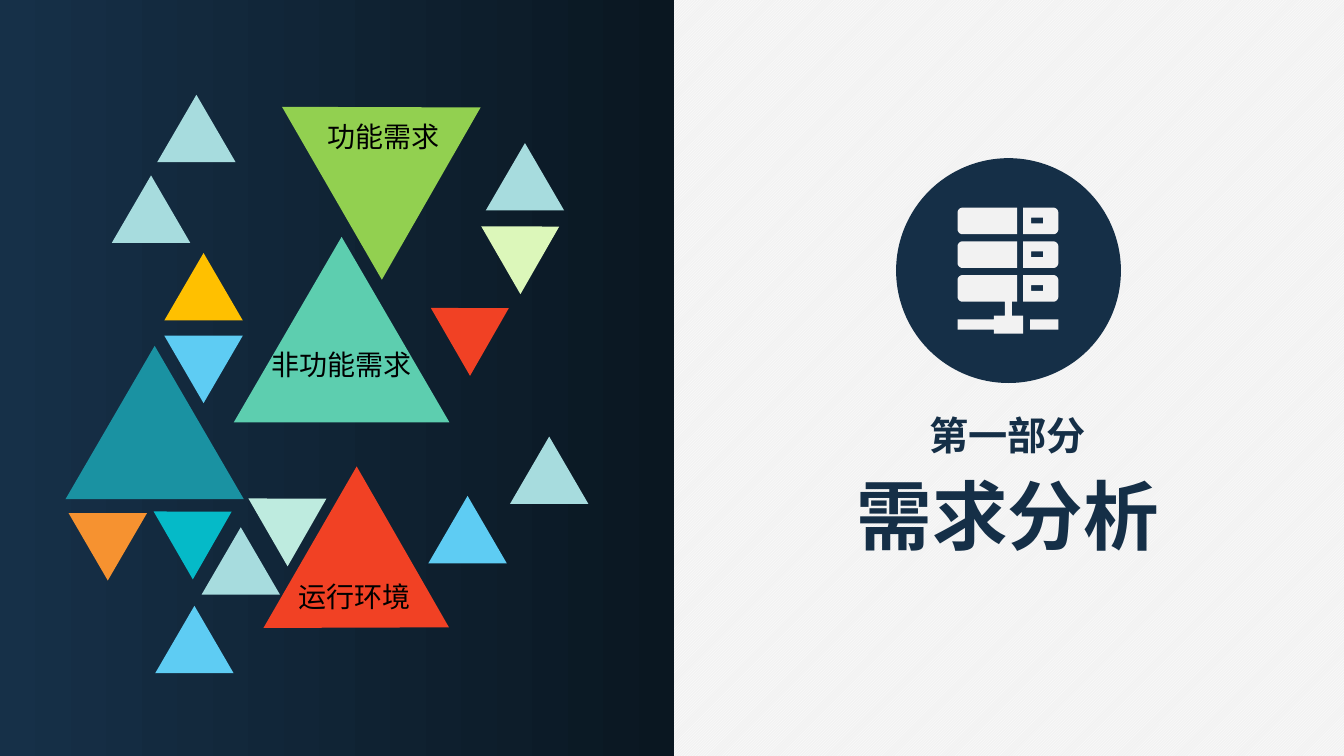
import math
from lxml import etree
from pptx import Presentation
from pptx import util as u
from pptx.dml.color import RGBColor
from pptx.enum import dml, shapes, text
from pptx.oxml.ns import qn

Pt = u.Pt
FONT = "Noto Sans CJK SC"
COLORS = {
    "navy": "152F47", "panel_start": "163048", "panel_end": "0A1721",
    "white": "FFFFFF", "paper": "F2F2F2", "black": "000000",
    "mist": "A7DCDE", "mint": "BEEBDF", "jade": "5DCEAF", "teal": "1A92A2",
    "sky": "5ECCF3", "green": "92D050", "lime": "DCF7BA", "cyan": "05BAC8",
    "orange": "F69230", "amber": "FFC000", "red": "F14124",
}
TITLE = ("需求分析", (604.8, 331.2, 230.4, 72.7), 54, "navy", True)
PART = ("第一部分", (655.9, 290.2, 127.4, 41), 28, "navy", True)
LABELS = [
    ("非功能需求", (186.5, 244.4, 114.5, 31.7), 20, "black", False),
    ("功能需求", (226.8, 81.7, 94.3, 31.7), 20, "black", False),
    ("运行环境", (205.9, 410.4, 94.3, 31.7), 20, "black", False),
]
SMALL = 56
RATIO = 0.86
TRIANGLES = [
    (79.9, 125.3, SMALL, 0, "mist"),
    (347, 102.2, SMALL, 0, "mist"),
    (184.3, 344.2, SMALL, 60, "mint"),
    (167, 169.2, 154.1, 0, "jade"),
    (46.8, 247, 127.4, 0, "teal"),
    (144, 376.6, SMALL, 0, "mist"),
    (110.9, 432.7, SMALL, 0, "sky"),
    (112.3, 67.7, SMALL, 0, "mist"),
    (218.9, 46.1, 142.6, 60, "green"),
    (350.6, 149.8, SMALL, 60, "lime"),
    (116.6, 353.5, SMALL, 60, "cyan"),
    (49, 366.5, SMALL, 180, "orange"),
    (117.4, 180.7, SMALL, 0, "amber"),
    (117.4, 239.8, SMALL, 180, "sky"),
    (314.6, 208.1, SMALL, 60, "red"),
    (204.5, 362.2, 133.2, 120, "red"),
    (364.3, 311.8, SMALL, 0, "mist"),
    (306, 354.2, SMALL, 0, "sky"),
]
DISC = (640.1, 113, 160.6, 160.6)
ICON_LEFT, ICON_RIGHT, ICON_TOP = 684, 756, 148.3
ROWS, ROW_STEP, ROW_HEIGHT, RADIUS = 3, 24.1, 19, 3.6
BODY_END, CAP_START = 726.5, 730.8
SLOT = (736.6, 7.2, 8.6, 4.1)
CABLE = [
    (717.8, 215.5), (722.9, 215.5), (722.9, 225.4), (730.8, 225.4),
    (730.8, 238.3), (709.9, 238.3), (709.9, 235.4), (684, 235.4),
    (684, 228.2), (709.9, 228.2), (709.9, 225.4), (717.8, 225.4),
]
CABLE_END = (735.8, 228.2, 20.2, 7.2)


def rgb(name):
    return RGBColor.from_string(COLORS[name])


def apply(target, values):
    for name, value in values.items():
        setattr(target, name, value)


def place(sp, box):
    apply(sp, dict(zip(("left", "top", "width", "height"), map(Pt, box))))


def paint(sp, color):
    sp.shadow.inherit = False
    sp.line.fill.background()
    sp.fill.solid()
    sp.fill.fore_color.rgb = rgb(color)


def add_shape(parent, kind, box, color):
    sp = parent.add_shape(kind, *map(Pt, box))
    paint(sp, color)
    return sp


def write(sp, content, box, size, color, bold):
    place(sp, box)
    tf = sp.text_frame
    apply(tf, {"word_wrap": False, "auto_size": text.MSO_AUTO_SIZE.NONE,
               "vertical_anchor": text.MSO_ANCHOR.MIDDLE,
               "margin_left": 0, "margin_right": 0})
    p = tf.paragraphs[0]
    apply(p, {"alignment": text.PP_ALIGN.CENTER, "space_before": Pt(0)})
    r = p.add_run()
    r.text = content
    r.font.color.rgb = rgb(color)
    apply(r.font, {"name": FONT, "size": Pt(size), "bold": bold})
    etree.SubElement(r.font._element, qn("a:ea"), typeface=FONT)


def rect(x, y, w, h):
    return [(x, y), (x + w, y), (x + w, y + h), (x, y + h)]


def rounded_end(flat, end, top):
    sign = 1 if end > flat else -1
    center = end - sign * RADIUS
    angles = [math.radians(a) for a in range(0, 91, 15)]
    upper = [(center + sign * RADIUS * math.sin(a),
              top + RADIUS * (1 - math.cos(a))) for a in angles]
    lower = [(x, 2 * top + ROW_HEIGHT - y) for x, y in reversed(upper)]
    return [(flat, top)] + upper + lower + [(flat, top + ROW_HEIGHT)]


def server_outlines():
    outlines = [CABLE, rect(*CABLE_END)]
    x, dy, w, h = SLOT
    for row in range(ROWS):
        top = ICON_TOP + row * ROW_STEP
        outlines += [rounded_end(BODY_END, ICON_LEFT, top),
                     rounded_end(CAP_START, ICON_RIGHT, top),
                     rect(x, top + dy, w, h)[::-1]]
    return outlines


def add_outlines(parent, outlines, color):
    builder = None
    for outline in outlines:
        points = [(Pt(x), Pt(y)) for x, y in outline]
        if builder is None:
            builder = parent.build_freeform(*points[0])
        else:
            builder.move_to(*points[0])
        builder.add_line_segments(points[1:], close=True)
    paint(builder.convert_to_shape(), color)


def main():
    prs = Presentation()
    apply(prs, {"slide_width": Pt(960), "slide_height": Pt(540)})
    s = prs.slides.add_slide(prs.slide_layouts[2])

    bg = s.background.fill
    bg.patterned()
    bg.pattern = dml.MSO_PATTERN.LIGHT_UPWARD_DIAGONAL
    bg.fore_color.rgb = rgb("white")
    bg.back_color.rgb = rgb("paper")

    panel = add_shape(s.shapes, shapes.MSO_SHAPE.RECTANGLE, (0, 0, 481.7, 540), "navy")
    panel.fill.gradient()
    panel.fill.gradient_angle = 0
    for stop, color in zip(panel.fill.gradient_stops, ("panel_start", "panel_end")):
        stop.color.rgb = rgb(color)

    write(s.shapes.title, *TITLE)
    write(s.placeholders[1], *PART)

    server = s.shapes.add_group_shape()
    add_shape(server.shapes, shapes.MSO_SHAPE.OVAL, DISC, "navy")
    add_outlines(server.shapes, server_outlines(), "paper")

    for x, y, width, rotation, color in TRIANGLES:
        sp = add_shape(s.shapes, shapes.MSO_SHAPE.ISOSCELES_TRIANGLE,
                       (x, y, width, width * RATIO), color)
        sp.rotation = rotation

    for label in LABELS:
        write(s.shapes.add_textbox(0, 0, 0, 0), *label)

    prs.save("out.pptx")


if __name__ == "__main__":
    main()
